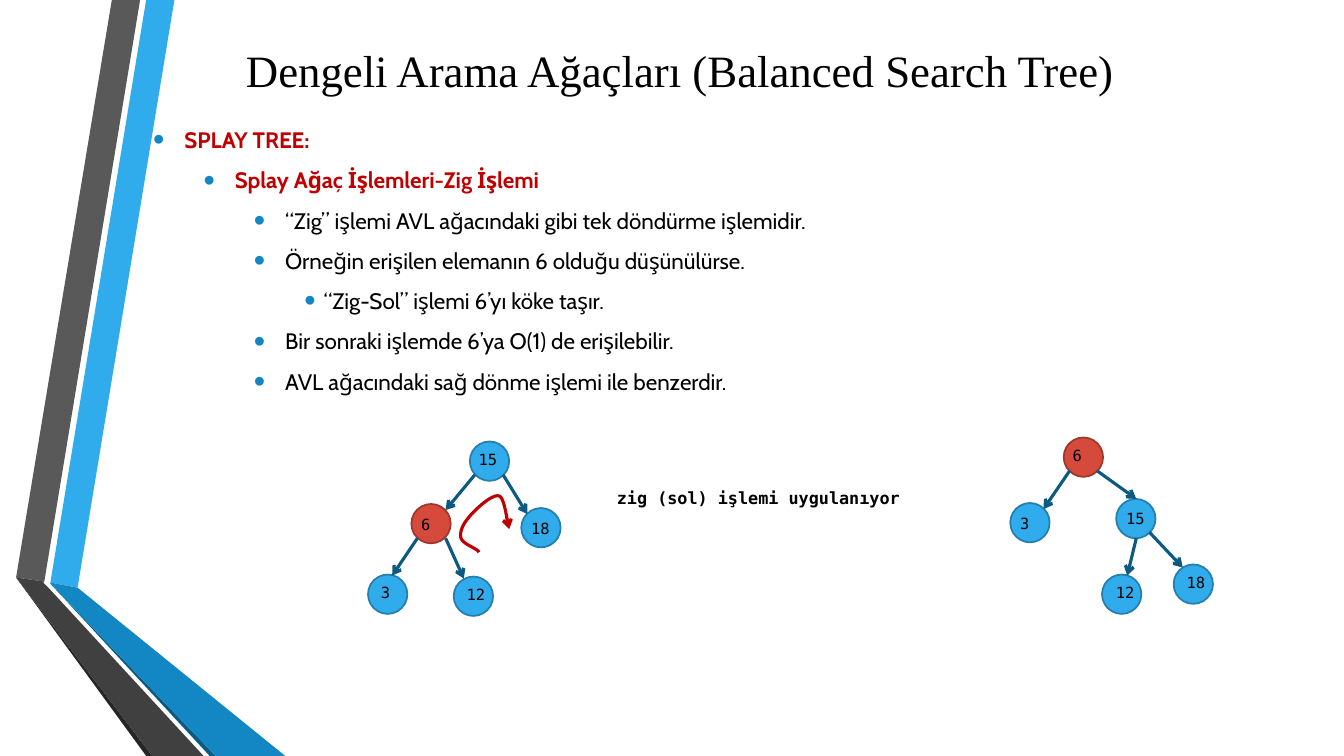
"""Builds the slide on the zig operation of splay trees."""
from dataclasses import dataclass

from lxml import etree
from pptx import Presentation, util as u
from pptx.dml.color import RGBColor
from pptx.enum import shapes, text
from pptx.oxml import ns

PX = 9144
NODE_SIZE = 39
CURVE_STEPS = 12
COLORS = {
    "black": "000000", "red": "C00000", "bullet": "1287C3",
    "blue": "30ACEC", "blue_edge": "247FAF", "coral": "D64A3B", "coral_edge": "9E372C",
    "navy": "0C5A82", "gray": "595959", "charcoal": "404040", "ink": "262626",
}
Point = tuple[int, int]


@dataclass
class Band:
    color: str
    points: list[Point]


@dataclass
class Bullet:
    wording: str
    level: int
    margin: int
    hanging: int = 31
    heading: bool = False


@dataclass
class Node:
    key: str
    left: int
    top: int
    label_shift: Point
    accessed: bool = False


@dataclass
class Edge:
    start: Point
    end: Point


@dataclass
class Tree:
    nodes: list[Node]
    edges: list[Edge]
    turn: list[Point]


@dataclass
class Style:
    size: int
    font: str
    color: str = "black"
    bold: bool = False


TITLE = Style(32, "Times New Roman")
HEADING = Style(16, "Cabin", "red", True)
BODY = Style(16, "Cabin")
KEY = Style(11, "DejaVu Sans Mono")
CAPTION = Style(12, "DejaVu Sans Mono", bold=True)

BANDS = [
    Band("blue", [(50, 578), (77, 583), (173, 0), (145, 0)]),
    Band("gray", [(139, 0), (111, 0), (16, 573), (44, 577)]),
    Band("ink", [(16, 573), (145, 750), (151, 750)]),
    Band("navy", [(50, 579), (208, 750), (214, 750)]),
    Band("bullet", [(50, 579), (214, 750), (283, 750), (77, 583), (50, 578)]),
    Band("charcoal", [(202, 750), (48, 583), (43, 578), (44, 577), (16, 573), (151, 750)]),
]
BULLETS = [
    Bullet("SPLAY TREE:", 0, 31, heading=True),
    Bullet("Splay Ağaç İşlemleri-Zig İşlemi", 1, 81, heading=True),
    Bullet("“Zig” işlemi AVL ağacındaki gibi tek döndürme işlemidir.", 2, 131),
    Bullet("Örneğin erişilen elemanın 6 olduğu düşünülürse.", 2, 131),
    Bullet("“Zig-Sol” işlemi 6’yı köke taşır.", 3, 169, 19),
    Bullet("Bir sonraki işlemde 6’ya O(1) de erişilebilir.", 2, 131),
    Bullet("AVL ağacındaki sağ dönme işlemi ile benzerdir.", 2, 131),
]
TREES = [
    Tree(
        [Node("6", 408, 500, (0, 6), True), Node("3", 365, 570, (3, 4)),
         Node("15", 466, 438, (-1, 4)), Node("18", 517, 504, (0, 6)),
         Node("12", 450, 572, (3, 4))],
        [Edge((414, 534), (389, 571)), Edge((471, 471), (442, 506)),
         Edge((442, 534), (460, 574)), Edge((499, 471), (523, 510))],
        [(475, 548), (474, 544), (458, 540), (457, 533), (456, 526), (460, 519), (466, 512),
         (472, 505), (488, 490), (495, 492), (501, 494), (503, 520), (505, 525)],
    ),
    Tree(
        [Node("3", 1002, 499, (0, 6)), Node("12", 1093, 570, (4, 4)),
         Node("6", 1055, 434, (-1, 4), True), Node("15", 1107, 495, (0, 5)),
         Node("18", 1164, 560, (3, 4))],
        [Edge((1127, 534), (1118, 571)), Edge((1061, 467), (1035, 505)),
         Edge((1140, 528), (1173, 563)), Edge((1088, 467), (1127, 495))],
        [],
    ),
]


def rgb(color: str) -> RGBColor:
    return RGBColor.from_string(COLORS[color])


def emu(*lengths: float) -> list[int]:
    return [round(length * PX) for length in lengths]


def style_paragraph(paragraph, wording: str, style: Style) -> None:
    paragraph.text = wording
    font = paragraph.runs[0].font
    font.size, font.name, font.bold = u.Pt(style.size), style.font, style.bold
    font.color.rgb = rgb(style.color)


def add_frame(parent, left: int, top: int, width: int, height: int):
    frame = parent.add_textbox(*emu(left, top, width, height)).text_frame
    frame.word_wrap = True
    return frame


def add_outline(parent, points: list[tuple[float, float]], closed: bool):
    corners = [tuple(emu(*point)) for point in points]
    builder = parent.build_freeform(*corners[0], scale=1.0)
    builder.add_line_segments(corners[1:], close=closed)
    outline = builder.convert_to_shape()
    outline.shadow.inherit = False
    return outline


def add_band(parent, band: Band) -> None:
    outline = add_outline(parent, band.points, True)
    outline.fill.solid()
    outline.fill.fore_color.rgb = rgb(band.color)
    outline.line.fill.background()


def add_bullet(paragraph, bullet: Bullet) -> None:
    style_paragraph(paragraph, bullet.wording, HEADING if bullet.heading else BODY)
    paragraph.level = bullet.level
    paragraph.alignment = text.PP_ALIGN.JUSTIFY
    properties = paragraph._p.get_or_add_pPr()
    margin, hanging = emu(bullet.margin, bullet.hanging)
    properties.set("marL", str(margin))
    properties.set("indent", str(-hanging))
    tint = etree.SubElement(properties, ns.qn("a:buClr"))
    etree.SubElement(tint, ns.qn("a:srgbClr"), val=COLORS["bullet"])
    etree.SubElement(properties, ns.qn("a:buSzPct"), val="145000")
    etree.SubElement(properties, ns.qn("a:buFont"), typeface="Arial")
    etree.SubElement(properties, ns.qn("a:buChar"), char="•")
    paragraph.line_spacing = 1.5


def add_arrow_line(line, color: str) -> None:
    line.color.rgb = rgb(color)
    line.width = u.Pt(2.25)
    etree.SubElement(line._get_or_add_ln(), ns.qn("a:tailEnd"), type="arrow")


def add_edge(parent, edge: Edge) -> None:
    arrow = parent.add_connector(shapes.MSO_CONNECTOR.STRAIGHT, *emu(*edge.start, *edge.end))
    add_arrow_line(arrow.line, "navy")
    etree.SubElement(arrow._element.spPr, ns.qn("a:effectLst"))


def add_node(parent, node: Node) -> None:
    circle = parent.add_shape(
        shapes.MSO_SHAPE.OVAL, *emu(node.left, node.top, NODE_SIZE, NODE_SIZE))
    circle.shadow.inherit = False
    fill = "coral" if node.accessed else "blue"
    circle.fill.solid()
    circle.fill.fore_color.rgb = rgb(fill)
    circle.line.color.rgb = rgb(f"{fill}_edge")
    circle.line.width = u.Pt(1.25)
    shift_x, shift_y = node.label_shift
    label = add_frame(parent, node.left + shift_x, node.top + shift_y, 40, 29)
    style_paragraph(label.paragraphs[0], node.key, KEY)


def bezier_points(controls: list[Point]) -> list[tuple[float, float]]:
    points = [controls[0]]
    for first in range(0, len(controls) - 1, 3):
        for step in range(1, CURVE_STEPS + 1):
            t = step / CURVE_STEPS
            weights = ((1 - t) ** 3, 3 * t * (1 - t) ** 2, 3 * t * t * (1 - t), t ** 3)
            part = controls[first:first + 4]
            points.append(tuple(
                sum(w * p[axis] for w, p in zip(weights, part)) for axis in (0, 1)))
    return points


def add_tree(parent, tree: Tree) -> None:
    members = parent.add_group_shape().shapes
    for node in tree.nodes:
        add_node(members, node)
    for edge in tree.edges:
        add_edge(members, edge)
    if tree.turn:
        turn = add_outline(members, bezier_points(tree.turn), False)
        turn.fill.background()
        add_arrow_line(turn.line, "red")


def main() -> None:
    deck = Presentation()
    deck.slide_width, deck.slide_height = emu(1333, 750)
    canvas = deck.slides.add_slide(deck.slide_layouts[6]).shapes
    ribbon = canvas.add_group_shape().shapes
    for band in BANDS:
        add_band(ribbon, band)
    title = add_frame(canvas, 155, 17, 1039, 104)
    title.vertical_anchor = text.MSO_ANCHOR.MIDDLE
    style_paragraph(title.paragraphs[0], "Dengeli Arama Ağaçları (Balanced Search Tree)", TITLE)
    title.paragraphs[0].alignment = text.PP_ALIGN.CENTER
    body = add_frame(canvas, 142, 107, 1111, 303)
    for index, bullet in enumerate(BULLETS):
        add_bullet(body.add_paragraph() if index else body.paragraphs[0], bullet)
    for tree in TREES:
        add_tree(canvas, tree)
    caption = add_frame(canvas, 602, 479, 324, 30)
    style_paragraph(caption.paragraphs[0], "zig (sol) işlemi uygulanıyor", CAPTION)
    deck.save("out.pptx")


if __name__ == "__main__":
    main()
